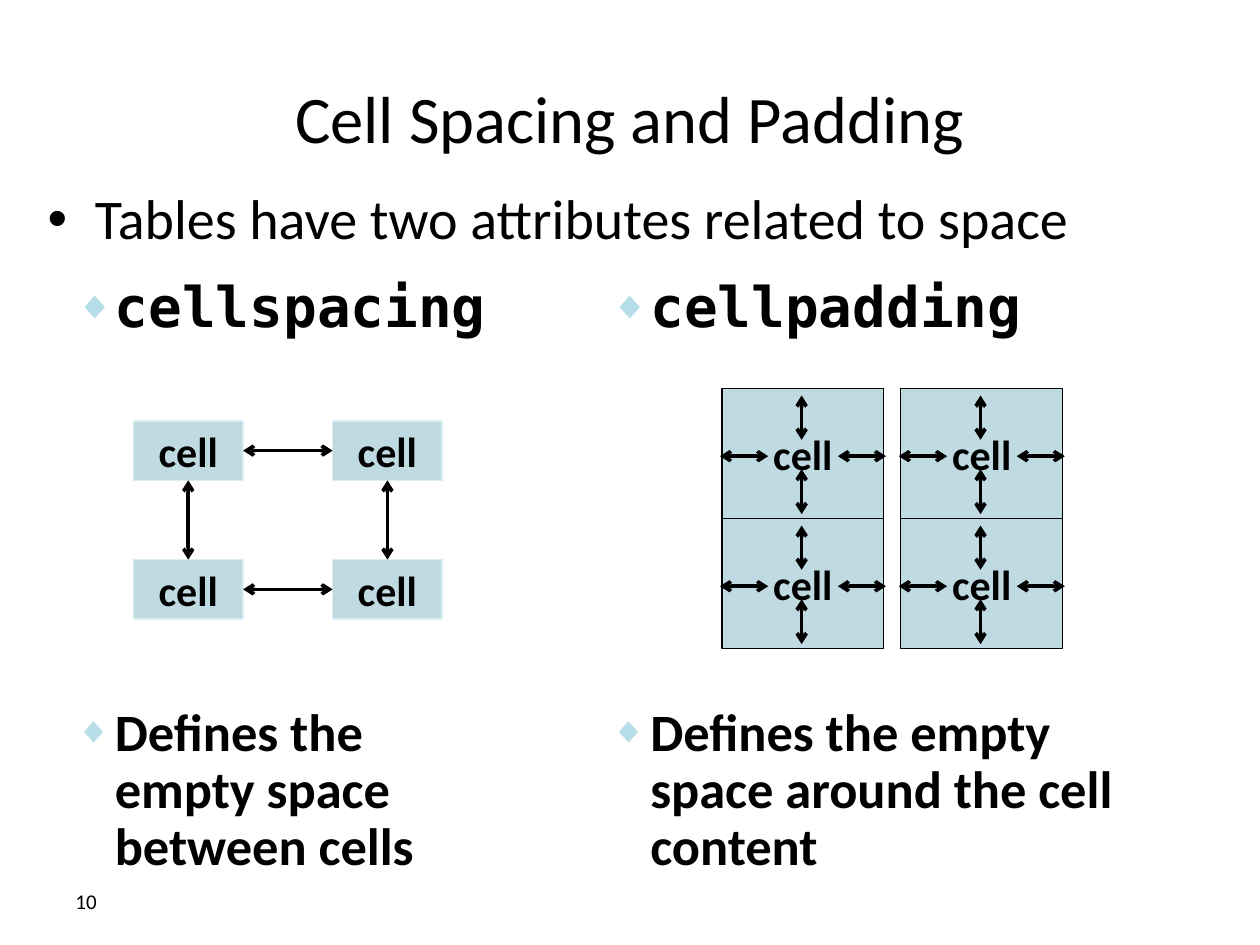
from itertools import product

from lxml.etree import SubElement
from pptx import Presentation
from pptx.dml.color import RGBColor
from pptx.enum.shapes import MSO_CONNECTOR as Connector, MSO_SHAPE as Preset
from pptx.enum.text import MSO_ANCHOR as Anchor, PP_ALIGN as Align
from pptx.oxml.ns import qn
from pptx.util import Pt

SANS, MONO = "Calibri", "DejaVu Sans Mono"
BLACK, TEAL, PALE, BULLET = "000000", "31859C", "DBEEF4", "B7DEE8"


def color(value):
    return RGBColor.from_string(value)


def style(para, size, font=SANS, bold=False):
    for span in para.runs:
        span.font.name = font
        span.font.size = Pt(size)
        span.font.bold = bold
        span.font.color.rgb = color(BLACK)


def add_bullet(para, char, indent, tint=None, percent=100):
    """Give the paragraph a hanging bullet; indent is in points."""
    props = para._p.get_or_add_pPr()
    props.set("marL", str(Pt(indent)))
    props.set("indent", str(-Pt(indent)))
    if tint:
        SubElement(SubElement(props, qn("a:buClr")), qn("a:srgbClr"), val=tint)
    SubElement(props, qn("a:buSzPct"), val=str(percent * 1000))
    SubElement(props, qn("a:buFont"), typeface="Arial")
    SubElement(props, qn("a:buChar"), char=char)
    para.line_spacing = 0.9


def add_text(page, area, text, size, font=SANS, bold=False, anchor=Anchor.TOP):
    """Place one paragraph in area (left, top, width, height) and return it."""
    box = page.shapes.add_textbox(*map(Pt, area))
    frame = box.text_frame
    frame.word_wrap = True
    frame.vertical_anchor = anchor
    frame.text = text
    para = frame.paragraphs[0]
    style(para, size, font, bold)
    return para


def add_column(page, left, top, width, attribute, meaning):
    """Write the attribute name, and its meaning below the diagram."""
    name = add_text(page, (left, top, width, 46), attribute, 32, MONO, True)
    definition = add_text(page, (left, top + 244, width, 106), meaning, 30, bold=True)
    for para in (name, definition):
        add_bullet(para, "◆", 22.5, BULLET, 70)


def add_cell(group, area, outline, margins=None):
    """Add a labelled cell; margins are (horizontal, vertical) insets."""
    cell = group.shapes.add_shape(Preset.RECTANGLE, *map(Pt, area))
    cell.shadow.inherit = False
    cell.fill.solid()
    cell.fill.fore_color.rgb = color(TEAL)
    tint = cell.fill._xPr.find(qn("a:solidFill"))[0]
    SubElement(tint, qn("a:alpha"), val="30000")
    cell.line.color.rgb = color(outline)
    cell.line.width = Pt(0.75)
    frame = cell.text_frame
    frame.word_wrap = False
    frame.vertical_anchor = Anchor.MIDDLE
    if margins:
        frame.margin_left = frame.margin_right = Pt(margins[0])
        frame.margin_top = frame.margin_bottom = Pt(margins[1])
    frame.text = "cell"
    para = frame.paragraphs[0]
    para.alignment = Align.CENTER
    style(para, 24, bold=True)


def add_arrow(group, x1, y1, x2, y2):
    arrow = group.shapes.add_connector(Connector.STRAIGHT, *map(Pt, (x1, y1, x2, y2)))
    arrow.line.color.rgb = color(BLACK)
    arrow.line.width = Pt(2)
    outline = arrow.line._get_or_add_ln()
    for end in ("a:headEnd", "a:tailEnd"):
        SubElement(outline, qn(end), type="arrow")
    SubElement(arrow._element.spPr, qn("a:effectLst"))


def add_spacing_diagram(page, left, top, width, height):
    """Draw four cells in the corners, with arrows across the gaps."""
    group = page.shapes.add_group_shape()
    cell_width, cell_height = 62.6, 34
    right, bottom = left + width - cell_width, top + height - cell_height
    for y, x in product((top, bottom), (left, right)):
        add_cell(group, (x, y, cell_width, cell_height), PALE)
    for y in (top, bottom):
        middle = y + cell_height / 2
        add_arrow(group, left + cell_width, middle, right, middle)
    for x in (left, right):
        middle = x + cell_width / 2
        add_arrow(group, middle, top + cell_height, middle, bottom)


def add_padding_diagram(page, left, top, width, height):
    """Draw four padded cells, each with arrows around its label."""
    group = page.shapes.add_group_shape()
    cell_width, cell_height = 92.4, 74.7
    center_x, center_y = 45.5, 38.9
    columns = (left, left + width - cell_width)
    rows = (top, top + height - cell_height)
    for x, y in product(columns, rows):
        add_cell(group, (x, y, cell_width, cell_height), BLACK, (28, 22.5))
        for start, end in ((4.2, 29.5), (46.3, 72)):
            add_arrow(group, x + center_x, y + start, x + center_x, y + end)
        for start, end in ((-1.2, 26.4), (66.2, 93.7)):
            add_arrow(group, x + start, y + center_y, x + end, y + center_y)


def build_slide(deck):
    page = deck.slides.add_slide(deck.slide_layouts[6])
    title = add_text(page, (36, 21.6, 648, 90), "Cell Spacing and Padding", 38,
                     anchor=Anchor.MIDDLE)
    title.alignment = Align.CENTER
    lead = add_text(page, (20.2, 105.8, 684, 42),
                    "Tables have two attributes related to space", 32)
    add_bullet(lead, "•", 27)
    add_column(page, 36, 156.2, 264, "cellspacing",
               "Defines the empty space between cells")
    add_column(page, 342, 156.2, 336, "cellpadding",
               "Defines the empty space around the cell content")
    add_spacing_diagram(page, 76.3, 240.5, 176.4, 113.3)
    add_padding_diagram(page, 412.6, 221.8, 194.6, 149)
    add_text(page, (36, 500.4, 168, 28.8), "10", 12, anchor=Anchor.MIDDLE)


def main():
    deck = Presentation()
    deck.slide_width, deck.slide_height = Pt(720), Pt(540)
    build_slide(deck)
    deck.save("out.pptx")


if __name__ == "__main__":
    main()
